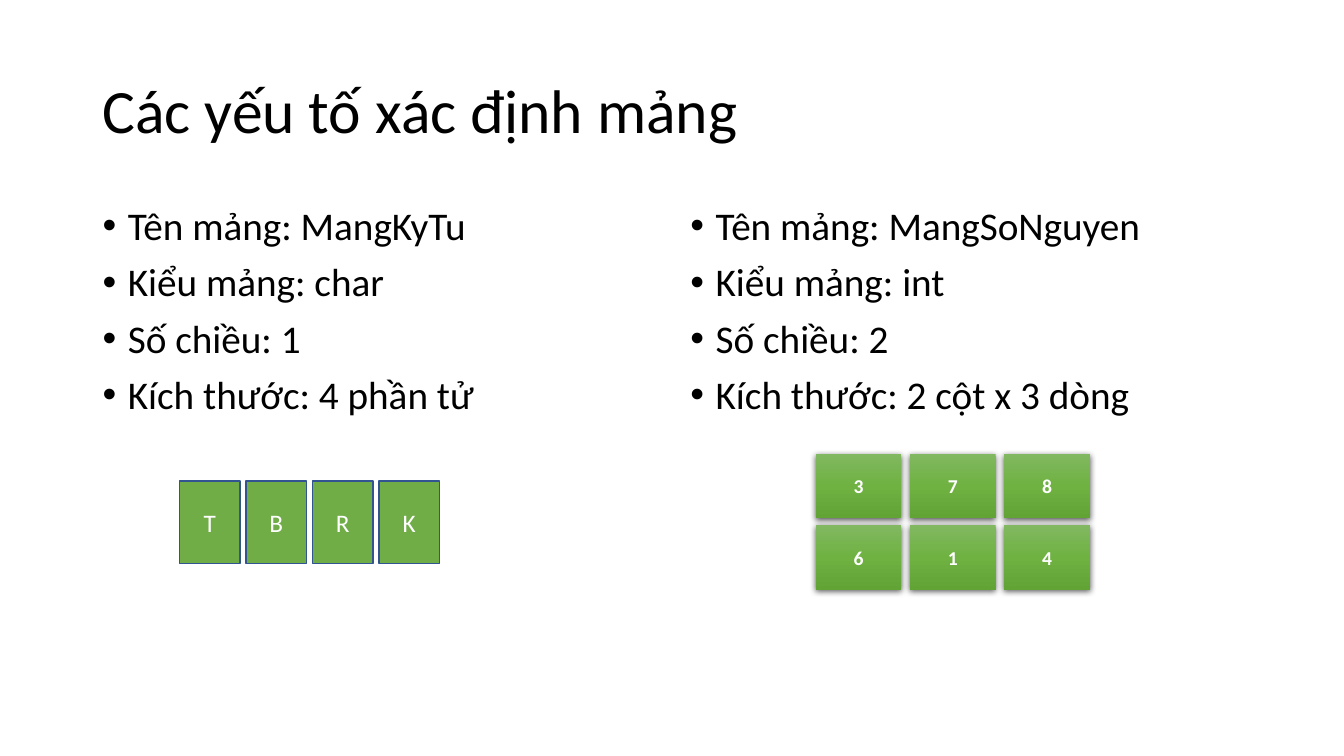
import pptx
import pptx.util
import pptx.dml.color
import pptx.enum.shapes
import pptx.enum.text
import pptx.oxml
import pptx.oxml.ns
from lxml import etree

Inches = pptx.util.Inches
Pt = pptx.util.Pt
qn = pptx.oxml.ns.qn
ANCHOR = pptx.enum.text.MSO_ANCHOR
ALIGN = pptx.enum.text.PP_ALIGN

FONT = "Calibri"
COLORS = {
    "text": "000000",
    "cell_text": "FFFFFF",
    "cell": "70AD47",
    "cell_line": "325491",
    "shadow": "000000",
    "grad_top": "81B861",
    "grad_middle": "6FB242",
    "grad_bottom": "62A336",
}
GRADIENT = [(0, "grad_top"), (50, "grad_middle"), (100, "grad_bottom")]


def rgb(name):
    return pptx.dml.color.RGBColor.from_string(COLORS[name])


def write(shape, lines, size, color="text", bold=False, align=ALIGN.LEFT,
          anchor=ANCHOR.TOP, line_spacing=None, space_before=0, bullet=False):
    """Fill a shape with one paragraph for each line."""
    frame = shape.text_frame
    frame.word_wrap = True
    frame.vertical_anchor = anchor
    for index, line in enumerate(lines):
        para = frame.add_paragraph() if index else frame.paragraphs[0]
        para.alignment = align
        para.line_spacing = line_spacing
        para.space_before = Pt(space_before)
        span = para.add_run()
        span.text = line
        span.font.name = FONT
        span.font.size = Pt(size)
        span.font.bold = bold
        span.font.color.rgb = rgb(color)
        if bullet:
            add_bullet(para)


def add_bullet(para):
    properties = para._p.get_or_add_pPr()
    properties.set("marL", str(Inches(0.25)))
    properties.set("indent", str(-Inches(0.25)))
    etree.SubElement(properties, qn("a:buFont")).set("typeface", "Arial")
    etree.SubElement(properties, qn("a:buChar")).set("char", "•")


def add_text(page, box, lines, **style):
    write(page.shapes.add_textbox(*map(Inches, box)), lines, **style)


def style_flat(cell):
    cell.fill.solid()
    cell.fill.fore_color.rgb = rgb("cell")
    cell.line.color.rgb = rgb("cell_line")
    cell.line.width = Pt(1)


def style_raised(cell):
    """Give a cell a vertical gradient, no outline and a soft shadow below."""
    cell.fill.gradient()
    cell.fill.gradient_angle = 270
    cell.line.fill.background()
    properties = cell._element.spPr
    stops = properties.find(".//" + qn("a:gsLst"))
    for stop in list(stops):
        stops.remove(stop)
    for percent, name in GRADIENT:
        stop = etree.SubElement(stops, qn("a:gs"), pos=str(percent * 1000))
        etree.SubElement(stop, qn("a:srgbClr"), val=COLORS[name])
    shadow = etree.SubElement(
        properties.find(qn("a:effectLst")), qn("a:outerShdw"),
        blurRad=str(Pt(4.5)), dist=str(Pt(1.5)), dir="5400000",
        algn="ctr", rotWithShape="0")
    shade = etree.SubElement(shadow, qn("a:srgbClr"), val=COLORS["shadow"])
    etree.SubElement(shade, qn("a:alpha"), val="63000")


def add_array(page, box, rows, cell_size, style_cell, **text_style):
    """Spread the cells of an array evenly over the box, as one group."""
    left, top, width, height = box
    cell_width, cell_height = cell_size
    step_x = (width - cell_width) / max(len(rows[0]) - 1, 1)
    step_y = (height - cell_height) / max(len(rows) - 1, 1)
    group = page.shapes.add_group_shape()
    for row, values in enumerate(rows):
        for column, value in enumerate(values):
            cell = group.shapes.add_shape(
                pptx.enum.shapes.MSO_SHAPE.RECTANGLE,
                Inches(left + column * step_x), Inches(top + row * step_y),
                Inches(cell_width), Inches(cell_height))
            cell.shadow.inherit = False
            style_cell(cell)
            write(cell, [value], color="cell_text", align=ALIGN.CENTER,
                  anchor=ANCHOR.MIDDLE, **text_style)


def add_facts(page, box, name, kind, dimensions, size):
    lines = [f"Tên mảng: {name}", f"Kiểu mảng: {kind}",
             f"Số chiều: {dimensions}", f"Kích thước: {size}"]
    add_text(page, box, lines, size=28, line_spacing=0.9,
             space_before=10, bullet=True)


def main():
    deck = pptx.Presentation()
    deck.slide_width = Inches(13.33)
    deck.slide_height = Inches(7.5)
    page = deck.slides.add_slide(deck.slide_layouts[6])

    add_text(page, (0.92, 0.4, 11.5, 1.45), ["Các yếu tố xác định mảng"],
             size=44, anchor=ANCHOR.MIDDLE, line_spacing=0.9)
    add_facts(page, (0.92, 2, 5.67, 4.76), "MangKyTu", "char", 1, "4 phần tử")
    add_facts(page, (6.75, 2, 5.67, 4.76), "MangSoNguyen", "int", 2,
              "2 cột x 3 dòng")
    add_array(page, (1.78, 4.77, 2.58, 0.82), ["TBRK"], (0.6, 0.82),
              style_flat, size=18)
    add_array(page, (8.09, 4.5, 2.72, 1.35), ["378", "614"], (0.85, 0.64),
              style_raised, size=14, bold=True)
    deck.save("out.pptx")


if __name__ == "__main__":
    main()
